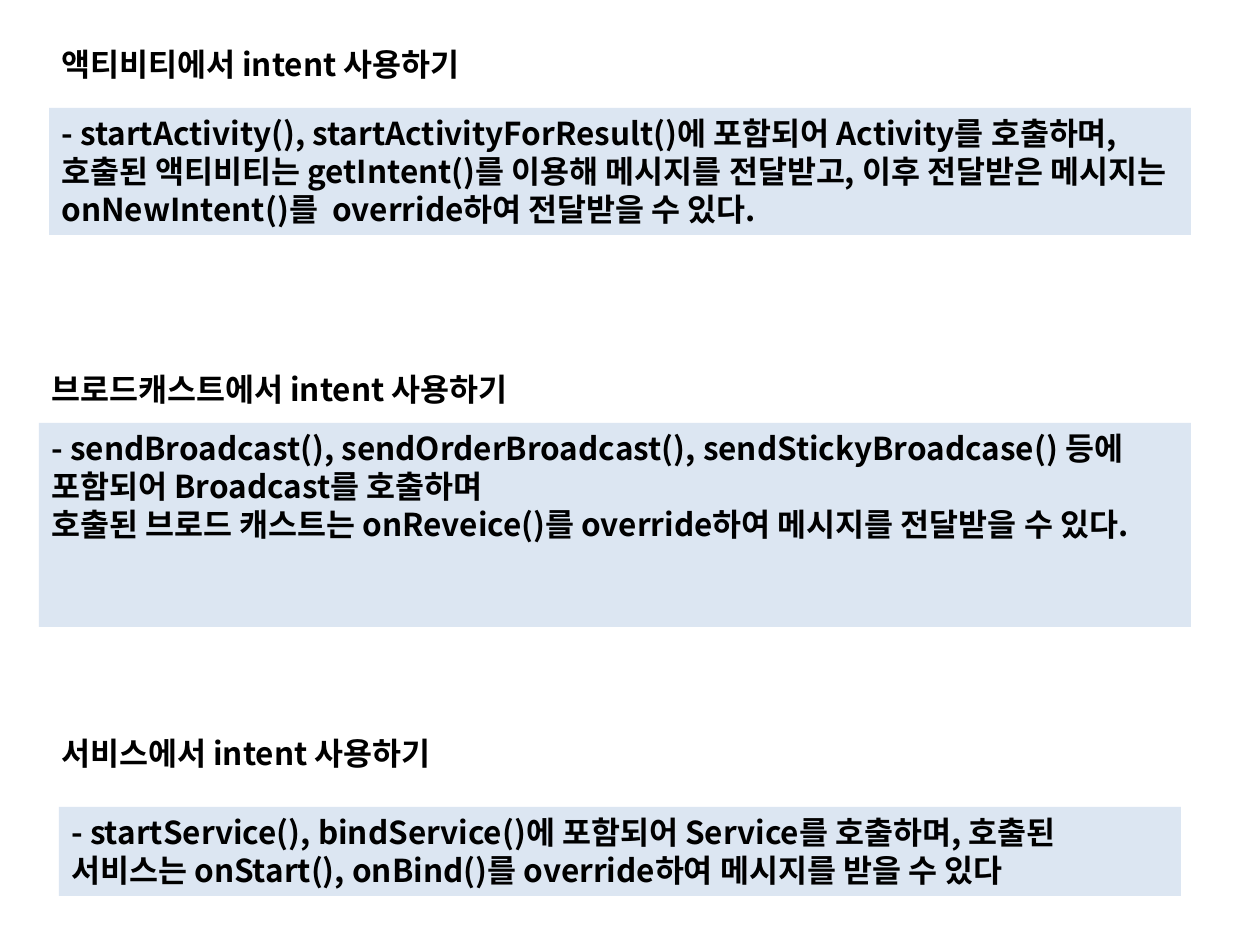
"""Build a slide on using intents in activities, broadcasts and services."""
from lxml.etree import SubElement
from pptx import Presentation
from pptx.dml.color import RGBColor
from pptx.enum.shapes import MSO_SHAPE
from pptx.enum.text import MSO_ANCHOR, PP_ALIGN
from pptx.oxml.ns import qn
from pptx.util import Emu, Pt

FONT = "Noto Sans CJK KR"
TEXT_COLOR = "000000"
PANEL_COLOR = "DCE6F2"
PIXELS_PER_INCH = 126
HEADING_HEIGHT = 51

SECTIONS = [
    {
        "heading": "액티비티에서 intent 사용하기",
        "heading_box": (49, 39, 767),
        "body": ["- startActivity(), startActivityForResult()에 포함되어 Activity를 호출하며, "
                 "호출된 액티비티는 getIntent()를 이용해 메시지를 전달받고, 이후 전달받은 "
                 "메시지는 onNewIntent()를  override하여 전달받을 수 있다."],
        "body_box": (49, 108, 1142, 127),
    },
    {
        "heading": "브로드캐스트에서 intent 사용하기",
        "heading_box": (39, 364, 867),
        "body": ["- sendBroadcast(), sendOrderBroadcast(), sendStickyBroadcase() 등에 "
                 "포함되어 Broadcast를 호출하며",
                 "호출된 브로드 캐스트는 onReveice()를 override하여 메시지를 전달받을 수 있다."],
        "body_box": (39, 423, 1152, 204),
    },
    {
        "heading": "서비스에서 intent 사용하기",
        "heading_box": (49, 728, 767),
        "body": ["- startService(), bindService()에 포함되어 Service를 호출하며, 호출된 "
                 "서비스는 onStart(), onBind()를 override하여 메시지를 받을 수 있다"],
        "body_box": (59, 807, 1122, 89),
    },
]


def px(value):
    return Emu(round(value * 914400 / PIXELS_PER_INCH))


def color(hex_string):
    return RGBColor.from_string(hex_string)


def write_text(shape, lines):
    frame = shape.text_frame
    frame.word_wrap = True
    frame.vertical_anchor = MSO_ANCHOR.TOP
    for index, line in enumerate(lines):
        paragraph = frame.add_paragraph() if index else frame.paragraphs[0]
        paragraph.alignment = PP_ALIGN.LEFT
        run = paragraph.add_run()
        run.text = line
        run.font.size = Pt(18)
        run.font.bold = True
        run.font.color.rgb = color(TEXT_COLOR)
        run.font.name = FONT
        SubElement(run._r.get_or_add_rPr(), qn("a:ea"), typeface=FONT)


def add_heading(slide, text, box):
    shape = slide.shapes.add_textbox(*map(px, (*box, HEADING_HEIGHT)))
    write_text(shape, [text])


def add_panel(slide, lines, box):
    shape = slide.shapes.add_shape(MSO_SHAPE.RECTANGLE, *map(px, box))
    shape.shadow.inherit = False
    shape.fill.solid()
    shape.fill.fore_color.rgb = color(PANEL_COLOR)
    shape.line.fill.background()
    write_text(shape, lines)


def main():
    presentation = Presentation()
    presentation.slide_width = px(1260)
    presentation.slide_height = px(945)
    slide = presentation.slides.add_slide(presentation.slide_layouts[6])
    for section in SECTIONS:
        add_heading(slide, section["heading"], section["heading_box"])
        add_panel(slide, section["body"], section["body_box"])
    presentation.save("out.pptx")


if __name__ == "__main__":
    main()
